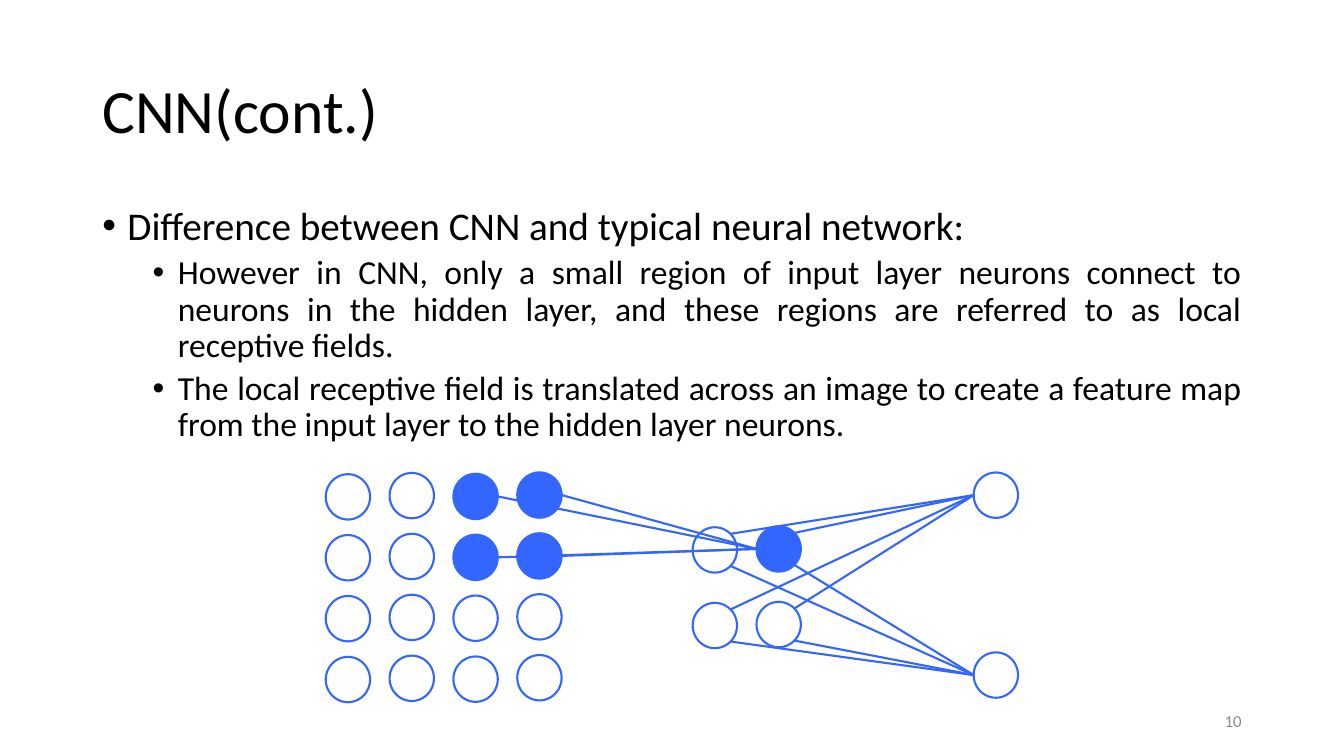
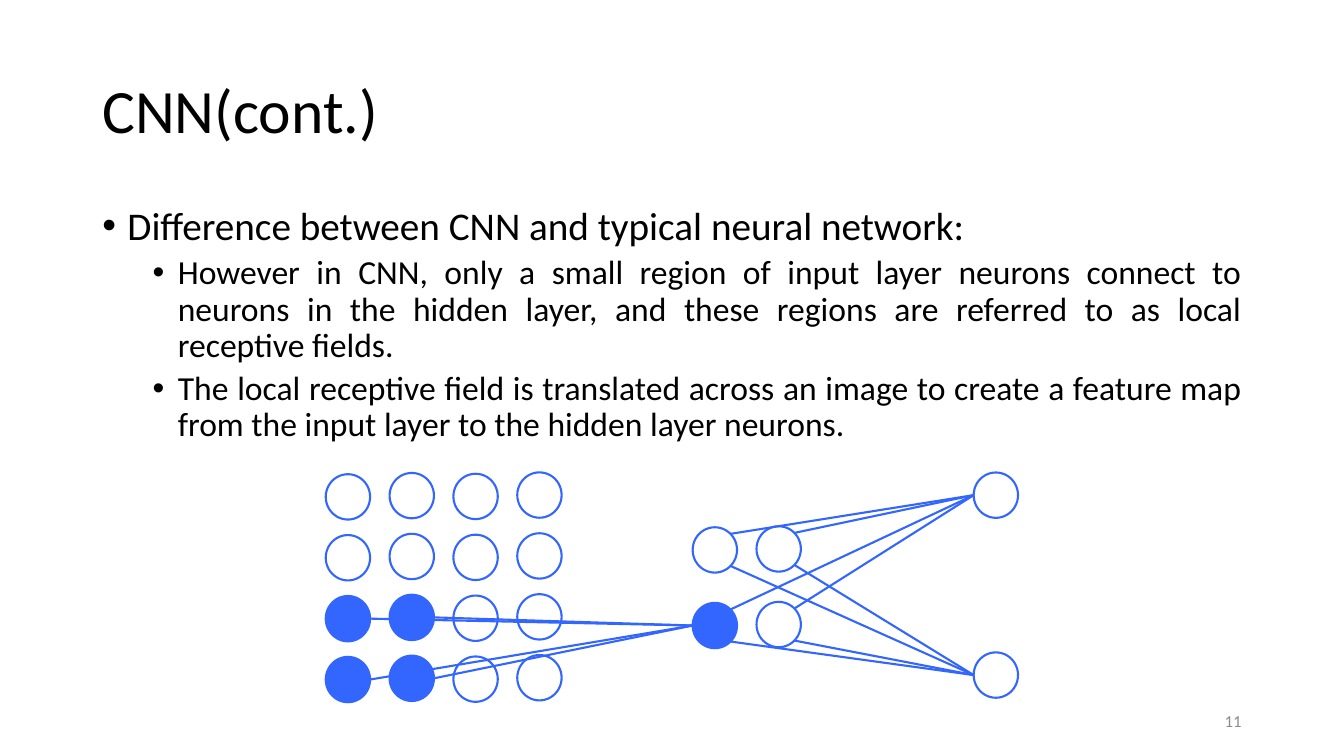
"""Build two slides on local receptive fields in a CNN."""
from dataclasses import dataclass
from itertools import product
from math import sqrt

from lxml.etree import SubElement
from pptx import Presentation
from pptx.dml.color import RGBColor
from pptx.enum.shapes import MSO_CONNECTOR, MSO_SHAPE
from pptx.enum.text import MSO_ANCHOR, PP_ALIGN
from pptx.oxml.ns import qn
from pptx.slide import Slide
from pptx.text.text import TextFrame
from pptx.util import Pt


@dataclass(frozen=True)
class Theme:
    font: str = "Calibri"
    ink: RGBColor = RGBColor(0x00, 0x00, 0x00)
    gray: RGBColor = RGBColor(0x8C, 0x8C, 0x8C)
    blue: RGBColor = RGBColor(0x33, 0x66, 0xFF)
    title: float = 44
    lead: float = 28
    point: float = 24
    foot: float = 12
    stroke: float = 1.5


@dataclass(frozen=True)
class Node:
    left: float
    top: float
    width: float = 31.7
    height: float = 32.4

    def spot(self, across: float, down: float) -> tuple[float, float]:
        return self.left + across * self.width, self.top + down * self.height


@dataclass(frozen=True)
class Bullet:
    text: str
    size: float
    indent: float
    before: float


@dataclass(frozen=True)
class Page:
    number: int
    field: tuple[tuple[int, int], ...]
    target: tuple[int, int]


THEME = Theme()
MARGIN, WIDTH = 66, 828
HANG = 18
RIM = sqrt(0.125)
TITLE = "CNN(cont.)"
BULLETS = (
    Bullet("Difference between CNN and typical neural network:", THEME.lead, 18, 10),
    Bullet("However in CNN, only a small region of input layer neurons connect to "
           "neurons in the hidden layer, and these regions are referred to as local "
           "receptive fields.", THEME.point, 54, 5),
    Bullet("The local receptive field is translated across an image to create a "
           "feature map from the input layer to the hidden layer neurons.",
           THEME.point, 54, 5),
)
PAGES = (
    Page(10, tuple(product((0, 1), (2, 3))), (0, 1)),
    Page(11, tuple(product((2, 3), (0, 1))), (1, 0)),
)


def make_grid(left: float, top: float, pitch: tuple[float, float],
              drops: tuple[float, ...], rows: int) -> dict[tuple[int, int], Node]:
    return {(row, col): Node(left + col * pitch[0], top + row * pitch[1] + drop)
            for col, drop in enumerate(drops) for row in range(rows)}


INPUT = make_grid(232.7, 337.8, (45.6, 43.5), (0.9, 0, 0.6, -0.4), 4)
HIDDEN = make_grid(494.8, 376.6, (45.6, 54), (0, -0.7), 2)
OUTPUT = (Node(695.5, 337.5), Node(695.5, 466))


def add_frame(slide: Slide, left: float, top: float, width: float, height: float,
              anchor: MSO_ANCHOR) -> TextFrame:
    box = slide.shapes.add_textbox(Pt(left), Pt(top), Pt(width), Pt(height))
    frame = box.text_frame
    frame.word_wrap = True
    frame.vertical_anchor = anchor
    return frame


def add_run(para, text: str, size: float, color: RGBColor) -> None:
    run = para.add_run()
    run.text = text
    run.font.name = THEME.font
    run.font.size = Pt(size)
    run.font.color.rgb = color


def add_bullet(para, item: Bullet) -> None:
    para.alignment = PP_ALIGN.JUSTIFY
    para.line_spacing = 0.9
    para.space_before = Pt(item.before)
    props = para._p.get_or_add_pPr()
    props.set("marL", str(Pt(item.indent)))
    props.set("indent", str(-Pt(HANG)))
    SubElement(props, qn("a:buFont")).set("typeface", "Arial")
    SubElement(props, qn("a:buChar")).set("char", "•")
    add_run(para, item.text, item.size, THEME.ink)


def add_text(slide: Slide, number: int) -> None:
    title = add_frame(slide, MARGIN, 28.8, WIDTH, 104.4, MSO_ANCHOR.MIDDLE).paragraphs[0]
    title.line_spacing = 0.9
    add_run(title, TITLE, THEME.title, THEME.ink)
    body = add_frame(slide, MARGIN, 144, WIDTH, 342.7, MSO_ANCHOR.TOP)
    for index, item in enumerate(BULLETS):
        add_bullet(body.add_paragraph() if index else body.paragraphs[0], item)
    foot = add_frame(slide, 678, 500.5, 216, 28.8, MSO_ANCHOR.MIDDLE).paragraphs[0]
    foot.alignment = PP_ALIGN.RIGHT
    add_run(foot, str(number), THEME.foot, THEME.gray)


def add_node(slide: Slide, node: Node, filled: bool = False) -> None:
    shape = slide.shapes.add_shape(MSO_SHAPE.OVAL, Pt(node.left), Pt(node.top),
                                   Pt(node.width), Pt(node.height))
    shape.shadow.inherit = False
    if filled:
        shape.fill.solid()
        shape.fill.fore_color.rgb = THEME.blue
    else:
        shape.fill.background()
    shape.line.color.rgb = THEME.blue
    shape.line.width = Pt(THEME.stroke)


def add_link(slide: Slide, start: tuple[float, float], end: tuple[float, float]) -> None:
    points = [Pt(value) for value in (*start, *end)]
    link = slide.shapes.add_connector(MSO_CONNECTOR.STRAIGHT, *points)
    link.line.color.rgb = THEME.blue
    link.line.width = Pt(THEME.stroke)
    SubElement(link._element.spPr, qn("a:effectLst"))


def add_net(slide: Slide, page: Page) -> None:
    for key, node in INPUT.items():
        add_node(slide, node, key in page.field)
    for node in OUTPUT:
        add_node(slide, node)
    for node in HIDDEN.values():
        for goal, side in zip(OUTPUT, (-RIM, RIM)):
            add_link(slide, node.spot(0.5 + RIM, 0.5 + side), goal.spot(0, 0.5))
    for key, node in HIDDEN.items():
        add_node(slide, node, key == page.target)
    for key in page.field:
        add_link(slide, INPUT[key].spot(1, 0.5), HIDDEN[page.target].spot(0, 0.5))


def main() -> None:
    deck = Presentation()
    deck.slide_width, deck.slide_height = Pt(960), Pt(540)
    for page in PAGES:
        slide = deck.slides.add_slide(deck.slide_layouts[6])
        add_text(slide, page.number)
        add_net(slide, page)
    deck.save("out.pptx")


if __name__ == "__main__":
    main()
